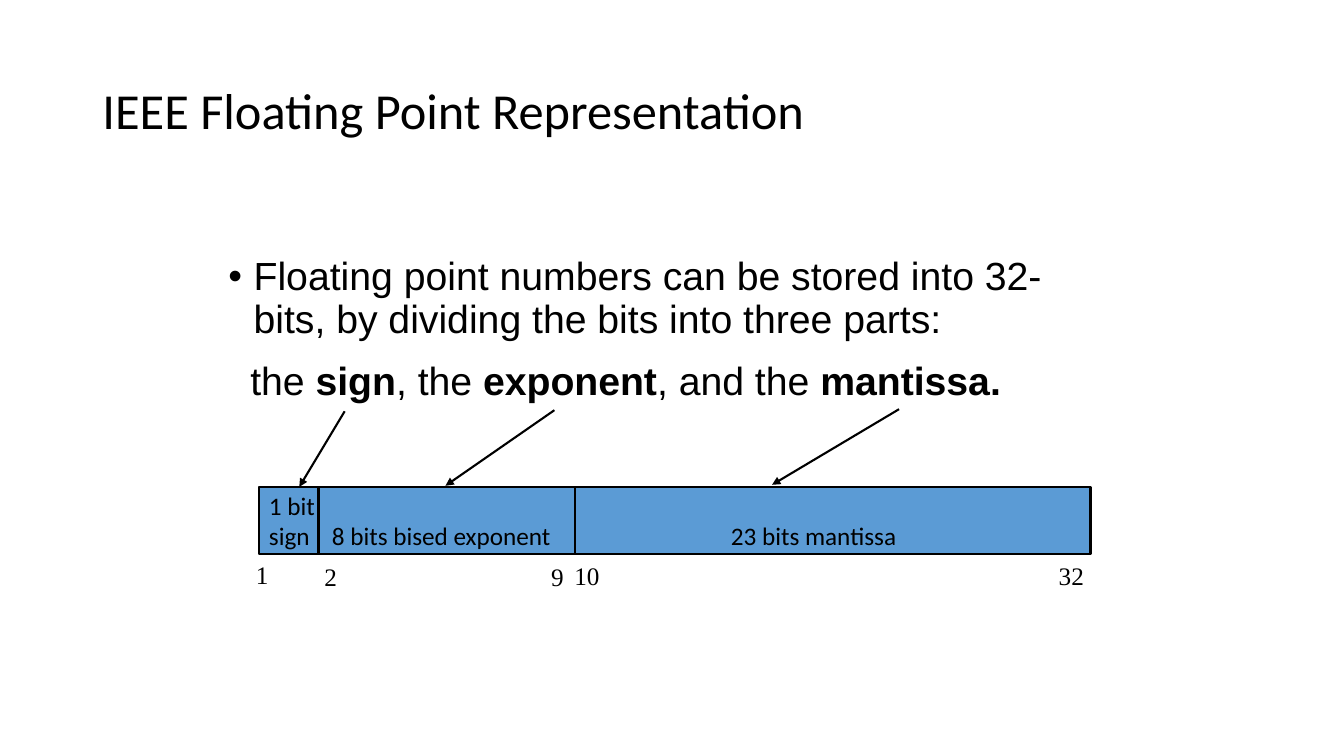
from lxml.etree import SubElement as Sub
from pptx import Presentation
from pptx.dml.color import RGBColor
from pptx.enum.shapes import MSO_CONNECTOR as Link, MSO_SHAPE as Shape
from pptx.enum.text import MSO_ANCHOR as Anchor, MSO_AUTO_SIZE as Auto, PP_ALIGN as Align
from pptx.oxml.ns import qn
from pptx.util import Pt


def paint(part, color):
    if hasattr(part, "solid"):
        part.solid()
        part = part.fore_color
    part.rgb = RGBColor.from_string(color)


def style(para, face, size, before=0, space=1.0, stops=()):
    para.alignment = Align.LEFT
    para.space_before = Pt(before)
    para.line_spacing = space
    for run in para.runs:
        run.font.name = face
        run.font.size = Pt(size)
        paint(run.font.fill, "000000")
    if stops:
        tabs = Sub(para._p.get_or_add_pPr(), qn("a:tabLst"))
        for stop in stops:
            Sub(tabs, qn("a:tab"), pos=str(Pt(stop)), algn="l")


deck = Presentation()
deck.slide_width, deck.slide_height = Pt(960), Pt(540)
slide = deck.slides.add_slide(deck.slide_layouts[1])
shapes = slide.shapes

title, body = slide.placeholders
for holder, box in ((title, (66, 28.8, 828, 104.4)), (body, (156, 180, 612, 324))):
    holder.left, holder.top, holder.width, holder.height = map(Pt, box)
    holder.text_frame.auto_size = Auto.NONE

title.text_frame.text = "IEEE Floating Point Representation"
title.text_frame.vertical_anchor = Anchor.MIDDLE
style(title.text_frame.paragraphs[0], "Calibri", 36, space=0.9)

frame = body.text_frame
frame.vertical_anchor = Anchor.TOP
frame.text = "Floating point numbers can be stored into 32-bits, by dividing the bits into three parts:"
intro, parts = frame.paragraphs[0], frame.add_paragraph()
for word in ("the ", "sign", ", the ", "exponent", ", and the ", "mantissa."):
    run = parts.add_run()
    run.text = word
    run.font.bold = word in ("sign", "exponent", "mantissa.")
for para, indent, mark in ((intro, -18, "•"), (parts, -2.4, "")):
    style(para, "Arial", 28, 14, 0.9)
    props = para._p.get_or_add_pPr()
    props.set("marL", str(Pt(18)))
    props.set("indent", str(Pt(indent)))
    if mark:
        Sub(props, qn("a:buFont"), typeface="Arial")
        Sub(props, qn("a:buChar"), char=mark)
    else:
        Sub(props, qn("a:buNone"))

top, base = 347.8, 396
bar = shapes.add_shape(Shape.RECTANGLE, Pt(185), Pt(top), Pt(594), Pt(base - top))
bar.shadow.inherit = False
paint(bar.fill, "5B9BD5")
paint(bar.line.fill, "000000")
bar.line.width = Pt(1.5)
bar.text_frame.vertical_anchor = Anchor.MIDDLE
bar.text_frame.text = "1 bit\nsign\t8 bits bised exponent\t23 bits mantissa"
for para in bar.text_frame.paragraphs:
    style(para, "Calibri", 18, stops=(45, 330))

lines = (
    (227.5, top, 227.5, base, False),
    (410.4, top, 410.4, base, False),
    (246.2, 293.8, 213.8, top, True),
    (396, 293, 318.2, 347, True),
    (642.2, 292.3, 551.5, 346.3, True),
)
for *ends, arrow in lines:
    line = shapes.add_connector(Link.STRAIGHT, *map(Pt, ends))
    paint(line.line.fill, "000000")
    line.line.width = Pt(1.5)
    if arrow:
        Sub(line.line._get_or_add_ln(), qn("a:tailEnd"), type="triangle")
    Sub(line._element.spPr, qn("a:effectLst"))

labels = (
    ("1", 175.7, 396, 30, ()),
    ("2\t9", 224.6, 397.4, 193.7, (162,)),
    ("10\t32", 403.2, 396.4, 379.4, (346,)),
)
for text, left, high, wide, stops in labels:
    label = shapes.add_textbox(Pt(left), Pt(high), Pt(wide), Pt(28.8))
    label.text_frame.word_wrap = True
    label.text_frame.text = text
    style(label.text_frame.paragraphs[0], "Times New Roman", 18, 9, stops=stops)

deck.save("out.pptx")
